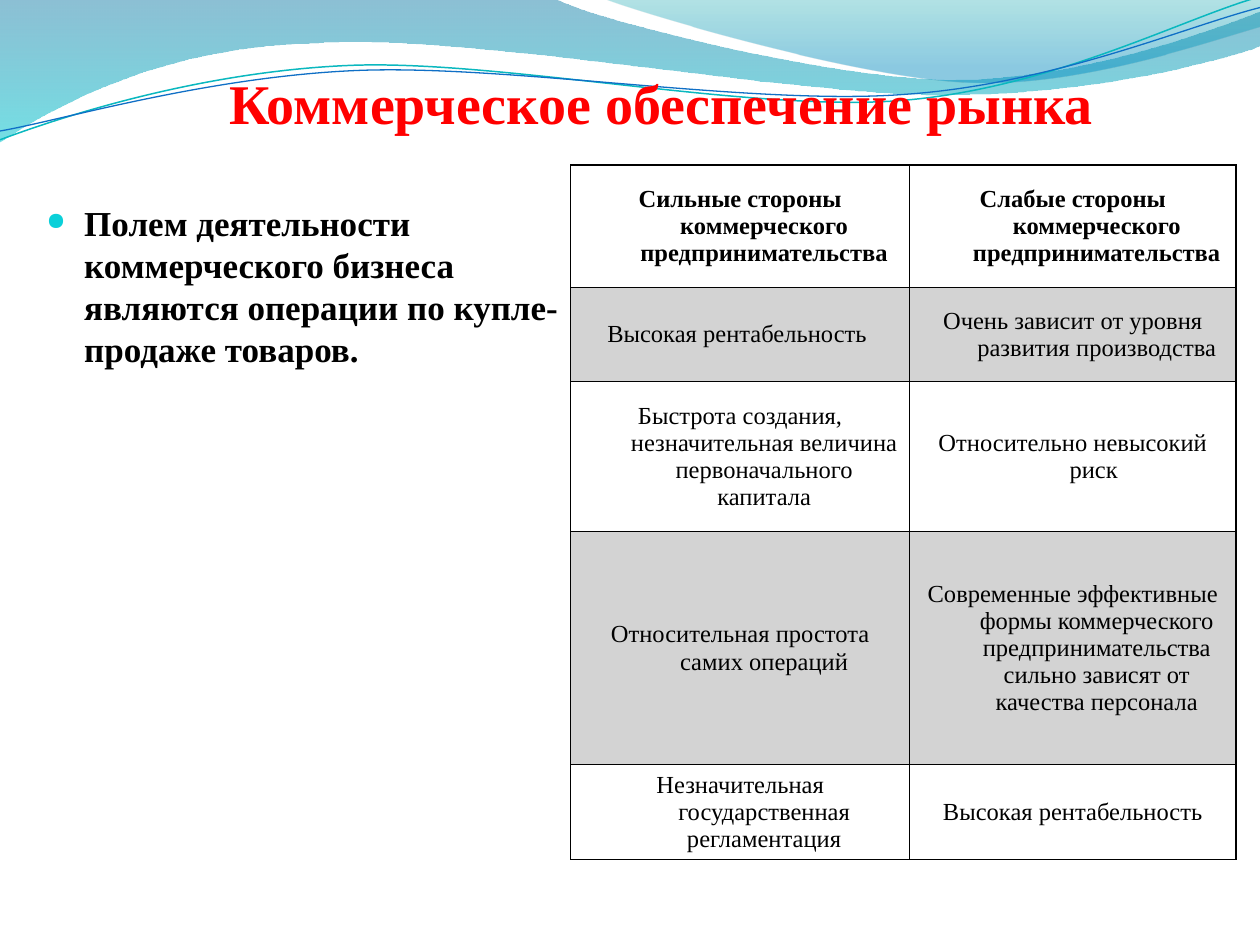
import pptx
import pptx.util
import pptx.dml.color
import pptx.enum.text
import pptx.oxml
import pptx.oxml.ns
from lxml import etree

Inches, Pt = pptx.util.Inches, pptx.util.Pt
qn = pptx.oxml.ns.qn
PP_ALIGN, MSO_ANCHOR = pptx.enum.text.PP_ALIGN, pptx.enum.text.MSO_ANCHOR

FONT = "Times New Roman"
COLORS = {
    "title": "FF0000", "text": "000000", "bullet": "0BD0D9",
    "plain": "FFFFFF", "band": "D3D3D3", "border": "000000",
    "wave_top": "0074A1", "wave_bottom": "00C6CF",
    "crest_top": "00A1A9", "crest_bottom": "008BBF",
    "teal_line": "0AB8BF", "blue_line": "0F6FC6",
}

# Outlines in inches: a pair is a corner, six numbers are a Bezier curve.
WAVE = [(0, 0), (4.4, -0.01), (4.76, 0.17, 6.64, 0.63, 7.58, 0.63),
        (8.53, 0.63, 9.58, 0.26, 10, 0.09), (10.01, 0.36),
        (9.83, 0.44, 8.7, 0.76, 7.46, 0.75), (6.22, 0.75, 3.82, 0.28, 2.57, 0.34),
        (1.29, 0.36, 0.46, 0.83, -0.01, 1.13)]
CREST = [(4.79, -0.01), (5.09, 0.11, 6.82, 0.62, 7.69, 0.65),
         (8.56, 0.69, 9.61, 0.32, 10, 0.21), (10, 0)]
TEAL_LINE = [(0, 1.11), (0.48, 0.93, 1.58, 0.57, 2.77, 0.52),
             (3.95, 0.47, 5.93, 0.89, 7.13, 0.8), (8.33, 0.71, 9.38, 0.15, 9.98, -0.02)]
BLUE_LINE = [(0, 1.04), (0.47, 0.96, 1.64, 0.61, 2.83, 0.56),
             (4.03, 0.51, 5.97, 0.84, 7.17, 0.75), (8.36, 0.67, 9.41, 0.21, 10, 0.06)]

ROWS = [
    ("Сильные стороны коммерческого предпринимательства",
     "Слабые стороны коммерческого предпринимательства"),
    ("Высокая рентабельность ", "Очень зависит от уровня развития производства"),
    ("Быстрота создания, незначительная величина первоначального капитала",
     "Относительно невысокий риск "),
    ("Относительная простота самих операций",
     "Современные эффективные формы коммерческого предпринимательства "
     "сильно зависят от качества персонала"),
    ("Незначительная государственная регламентация", "Высокая рентабельность"),
]
COL_WIDTHS = [2.69, 2.59]
ROW_HEIGHTS = [0.97, 0.75, 1.19, 1.85, 0.75]


def rgb(name):
    return pptx.dml.color.RGBColor.from_string(COLORS[name])


def add_run(p, text, size, color="text", bold=True):
    r = p.add_run()
    r.text = text
    r.font.name, r.font.size, r.font.bold = FONT, Pt(size), bold
    r.font.color.rgb = rgb(color)


def hang(p, indent):
    """Give the paragraph a hanging indent, in inches."""
    pPr = p._p.get_or_add_pPr()
    pPr.set("marL", str(Inches(indent)))
    pPr.set("indent", str(Inches(-indent)))
    return pPr


def add_outline(s, outline, close):
    """Build a freeform through the end points, then bend its curved segments."""
    ends = [(Inches(part[-2]), Inches(part[-1])) for part in outline]
    builder = s.shapes.build_freeform(*ends[0])
    builder.add_line_segments(ends[1:], close=close)
    sp = builder.convert_to_shape()
    sp.shadow.inherit = False
    segments = list(sp._element.spPr.iter(qn("a:lnTo")))
    for segment, part in zip(segments, outline[1:]):
        if len(part) == 2:
            continue
        segment.tag = qn("a:cubicBezTo")
        for i in (0, 2):
            pt = etree.Element(qn("a:pt"), x=str(Inches(part[i]) - sp.left),
                               y=str(Inches(part[i + 1]) - sp.top))
            segment.insert(i // 2, pt)
    return sp


def add_wave(s, outline, stops):
    """Draw a filled wave; each stop is (position, colour, opacity percent)."""
    sp = add_outline(s, outline, True)
    sp.line.fill.background()
    sp.fill.gradient()
    sp.fill.gradient_angle = 270
    for stop, (position, color, _) in zip(sp.fill.gradient_stops, stops):
        stop.position = position
        stop.color.rgb = rgb(color)
    for clr, (_, _, opacity) in zip(sp._element.spPr.iter(qn("a:srgbClr")), stops):
        etree.SubElement(clr, qn("a:alpha"), val=str(opacity * 1000))


def add_wave_line(s, outline, color, width):
    sp = add_outline(s, outline, False)
    sp.fill.background()
    sp.line.color.rgb = rgb(color)
    sp.line.width = Pt(width)


def add_header_waves(s):
    add_wave(s, WAVE, [(0, "wave_top", 45), (1, "wave_bottom", 55)])
    add_wave(s, CREST, [(0, "crest_top", 30), (0.8, "crest_bottom", 45)])
    add_wave_line(s, TEAL_LINE, "teal_line", 0.85)
    add_wave_line(s, BLUE_LINE, "blue_line", 0.75)


def add_title(s, left, top, width, height):
    tf = s.shapes.add_textbox(*map(Inches, (left, top, width, height))).text_frame
    tf.word_wrap = True
    tf.vertical_anchor = MSO_ANCHOR.BOTTOM
    tf.margin_left = tf.margin_right = tf.margin_bottom = 0
    p = tf.paragraphs[0]
    p.alignment = PP_ALIGN.CENTER
    add_run(p, "Коммерческое обеспечение рынка", 32, "title")


def add_body(s, left, top, width, height):
    tf = s.shapes.add_textbox(*map(Inches, (left, top, width, height))).text_frame
    tf.word_wrap = True
    p = tf.paragraphs[0]
    pPr = hang(p, 0.3)
    clr = etree.SubElement(pPr, qn("a:buClr"))
    etree.SubElement(clr, qn("a:srgbClr"), val=COLORS["bullet"])
    etree.SubElement(pPr, qn("a:buSzPct"), val="70000")
    etree.SubElement(pPr, qn("a:buChar"), char="●")
    add_run(p, "Полем деятельности коммерческого бизнеса являются "
               "операции по купле-продаже товаров.", 20)


def add_borders(cell):
    tcPr = cell._tc.get_or_add_tcPr()
    for side in ("lnL", "lnR", "lnT", "lnB"):
        ln = etree.SubElement(tcPr, qn("a:" + side), w=str(Pt(0.75)))
        fill = etree.SubElement(ln, qn("a:solidFill"))
        etree.SubElement(fill, qn("a:srgbClr"), val=COLORS["border"])


def add_comparison(s, left, top, width, height):
    table = s.shapes.add_table(len(ROWS), len(COL_WIDTHS),
                               *map(Inches, (left, top, width, height))).table
    table.first_row = table.horz_banding = False
    for col, w in zip(table.columns, COL_WIDTHS):
        col.width = Inches(w)
    for i, (row, h) in enumerate(zip(table.rows, ROW_HEIGHTS)):
        row.height = Inches(h)
        for cell, text in zip(row.cells, ROWS[i]):
            add_borders(cell)
            cell.fill.solid()
            cell.fill.fore_color.rgb = rgb("band" if i % 2 else "plain")
            cell.vertical_anchor = MSO_ANCHOR.MIDDLE
            cell.margin_left = cell.margin_right = Inches(0.09)
            cell.margin_top = cell.margin_bottom = Inches(0.02)
            p = cell.text_frame.paragraphs[0]
            p.alignment = PP_ALIGN.CENTER
            hang(p, 0.38)
            add_run(p, text, 14, bold=i == 0)


def main():
    prs = pptx.Presentation()
    prs.slide_width, prs.slide_height = Inches(10), Inches(7.5)
    s = prs.slides.add_slide(prs.slide_layouts[6])
    add_header_waves(s)
    add_title(s, 0.75, 0.29, 9, 0.79)
    add_body(s, 0.27, 1.55, 4.42, 4.25)
    add_comparison(s, 4.53, 1.31, sum(COL_WIDTHS), sum(ROW_HEIGHTS))
    prs.save("out.pptx")


if __name__ == "__main__":
    main()
